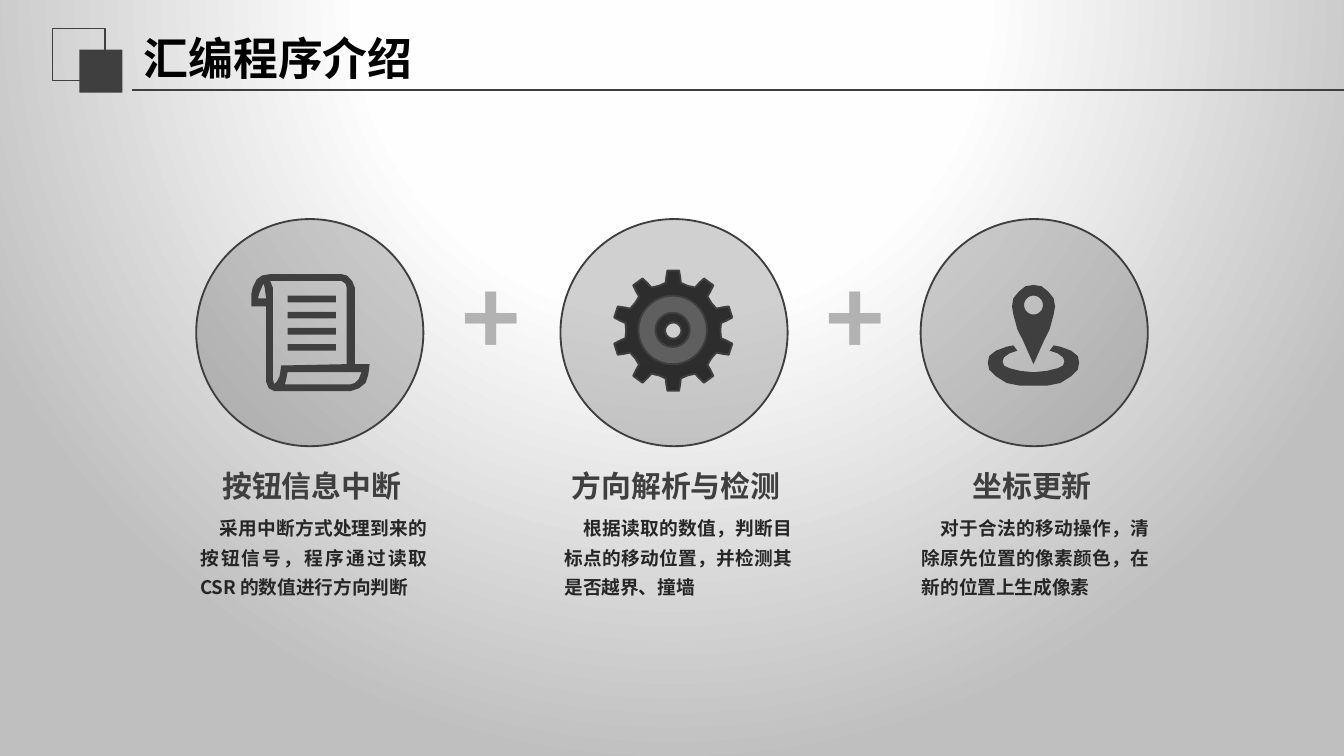
"""Build the slide that introduces the assembly program in three steps."""
from math import cos, pi, sin

from lxml.etree import SubElement as Sub
from pptx import Presentation
from pptx.dml.color import RGBColor as RGB
from pptx.enum.shapes import MSO_CONNECTOR as Link, MSO_SHAPE as Kind
from pptx.enum.text import MSO_ANCHOR as Anchor, MSO_AUTO_SIZE as Auto, PP_ALIGN as Align
from pptx.oxml import parse_xml
from pptx.oxml.ns import nsdecls, qn
from pptx.util import Inches, Pt

theme = {
    "ink": "3F3F3F", "body": "262626", "plus": "B2B2B2", "title": "000000",
    "gear": "0D0D0D", "ring": "FFFFFF",
    "glow": [(0, "FFFFFF"), (40, "FEFEFE"), (100, "BFBFBF")],
    "size": {"title": 24, "head": 16, "body": 10, "plus": 54},
    "cjk": "Noto Sans CJK SC", "latin": "Calibri",
}
ink = theme["ink"]
looks = {
    "frame": (None, 100, 0.75), "solid": (ink, 100, 0), "disc": (ink, 24, 1),
    "gear": (theme["gear"], 83, 1), "ring": (theme["ring"], 24, 1),
}
slim = {"margin_left": 0, "margin_right": 0, "margin_top": Inches(0.05), "margin_bottom": 0}
wide = {"margin_left": Inches(0.1), "margin_right": Inches(0.1),
        "margin_top": Inches(0.05), "margin_bottom": Inches(0.05)}
grow = {"word_wrap": True, "auto_size": Auto.SHAPE_TO_FIT_TEXT}
fixed = {"word_wrap": True, "auto_size": Auto.NONE, "vertical_anchor": Anchor.MIDDLE}
styles = {
    "title": (wide | fixed, {"alignment": Align.LEFT}, theme["latin"], theme["title"]),
    "head": (slim | grow, {"alignment": Align.CENTER}, theme["cjk"], ink),
    "body": (slim | grow, {"alignment": Align.JUSTIFY, "line_spacing": 1.3}, theme["cjk"], theme["body"]),
    "plus": (wide | grow, {"alignment": Align.CENTER}, theme["cjk"], theme["plus"]),
}

deck = Presentation()
deck.slide_width, deck.slide_height = Inches(10), Inches(10 * 9 / 16)
slide = deck.slides.add_slide(deck.slide_layouts[5])
shapes = slide.shapes

stops = "".join(f'<a:gs pos="{at * 1000}"><a:srgbClr val="{tint}"/></a:gs>' for at, tint in theme["glow"])
slide.element.cSld.insert(0, parse_xml(
    f'<p:bg {nsdecls("p", "a")}><p:bgPr><a:gradFill rotWithShape="1"><a:gsLst>{stops}</a:gsLst>'
    '<a:path path="circle"><a:fillToRect l="50000" t="-80000" r="50000" b="180000"/></a:path>'
    '</a:gradFill><a:effectLst/></p:bgPr></p:bg>'))


def paint(shape, look):
    fill, alpha, width = looks[look]
    shape.shadow.inherit = False
    if fill:
        shape.fill.solid()
        shape.fill.fore_color.rgb = RGB.from_string(fill)
        if alpha < 100:
            tint = shape.element.spPr.find(qn("a:solidFill"))[0]
            Sub(tint, qn("a:alpha")).set("val", str(alpha * 1000))
    else:
        shape.fill.background()
    if width:
        shape.line.color.rgb = RGB.from_string(ink)
        shape.line.width = Pt(width)
    else:
        shape.line.fill.background()


def trace(loops, look):
    rings = [[(Inches(x), Inches(y)) for x, y in loop] for loop in loops]
    pen = shapes.build_freeform(*rings[0][0], scale=1.0)
    pen.add_line_segments(rings[0][1:])
    for ring in rings[1:]:
        pen.move_to(*ring[0])
        pen.add_line_segments(ring[1:])
    paint(pen.convert_to_shape(), look)


lefts = [1.46, 4.17, 6.85]
blocks = [(Kind.RECTANGLE, 0.39, 0.21, 0.39, 0.39, "frame"),
          (Kind.RECTANGLE, 0.59, 0.37, 0.32, 0.32, "solid")]
blocks += [(Kind.OVAL, x, 1.63, 1.69, 1.69, "disc") for x in lefts]
blocks += [(Kind.RECTANGLE, 2.14, 2.2 + 0.12 * row, 0.36, 0.05, "solid") for row in range(4)]
for kind, x, y, w, h, look in blocks:
    paint(shapes.add_shape(kind, Inches(x), Inches(y), Inches(w), Inches(h)), look)

rule = shapes.add_connector(Link.STRAIGHT, Inches(0.98), Inches(0.67), Inches(10), Inches(0.67))
rule.line.color.rgb = RGB.from_string(ink)
rule.line.width = Pt(1.25)
Sub(rule.element.spPr, qn("a:effectLst"))

edge = [(2.64, 2.71), (2.64, 2.14), (2.62, 2.09), (2.58, 2.05), (2.54, 2.04), (2.01, 2.04),
        (1.95, 2.05), (1.91, 2.08), (1.88, 2.14), (1.87, 2.19), (1.87, 2.28), (1.98, 2.28),
        (1.98, 2.84), (2, 2.89), (2.04, 2.91), (2.61, 2.91), (2.67, 2.89), (2.72, 2.85),
        (2.74, 2.79), (2.75, 2.71)]
curl = [(1.92, 2.22), (1.93, 2.18), (1.96, 2.11), (1.97, 2.14), (1.98, 2.22)]
sheet = [(2.09, 2.74), (2.08, 2.8), (2.06, 2.84), (2.04, 2.86), (2.03, 2.82), (2.03, 2.14),
         (2.01, 2.09), (2.54, 2.09), (2.57, 2.11), (2.58, 2.14), (2.58, 2.71), (2.09, 2.72)]
foot = [(2.61, 2.86), (2.12, 2.86), (2.13, 2.82), (2.14, 2.77), (2.69, 2.77), (2.67, 2.82), (2.64, 2.85)]
trace([edge, curl, sheet, foot], "solid")

circle = [(cos(n * pi / 18), sin(n * pi / 18)) for n in range(36)]
tooth = [(-9, 0.36), (-7.5, 0.4), (-5.5, 0.45), (5.5, 0.45), (7.5, 0.4), (9, 0.36), (18, 0.35)]
polar = [((36 * n + turn) * pi / 180, r) for n in range(10) for turn, r in tooth]
teeth = [(5.01 + r * sin(a), 2.46 - r * cos(a)) for a, r in polar]
trace([teeth, [(5.01 + 0.06 * x, 2.46 + 0.06 * y) for x, y in circle]], "gear")
hub = shapes.add_shape(Kind.DONUT, Inches(4.75), Inches(2.2), Inches(0.51), Inches(0.51))
hub.adjustments[0] = 0.25
paint(hub, "ring")

drop = [(0, 2.12), (0.06, 2.13), (0.11, 2.17), (0.15, 2.22), (0.16, 2.28), (0.15, 2.34),
        (0.12, 2.45), (0.08, 2.53), (0, 2.71)]
base = [(0, 2.77), (0.1, 2.76), (0.18, 2.74), (0.22, 2.72), (0.23, 2.69), (0.22, 2.66),
        (0.18, 2.63), (0.12, 2.61), (0.15, 2.57), (0.2, 2.58), (0.28, 2.61), (0.33, 2.65),
        (0.34, 2.7), (0.33, 2.75), (0.28, 2.8), (0.2, 2.85), (0.1, 2.87), (0, 2.87)]
eye = [(7.69 + 0.07 * x, 2.27 + 0.07 * y) for x, y in circle]
for half, holes in [(base, []), (drop, [eye])]:
    whole = half + [(-x, y) for x, y in reversed(half)]
    trace([[(7.69 + x, y) for x, y in whole]] + holes, "solid")

steps = [
    ("按钮信息中断", "采用中断方式处理到来的按钮信号，程序通过读取 CSR 的数值进行方向判断"),
    ("方向解析与检测", "根据读取的数值，判断目标点的移动位置，并检测其是否越界、撞墙"),
    ("坐标更新", "对于合法的移动操作，清除原先位置的像素颜色，在新的位置上生成像素"),
]
texts = [("title", 0.97, 0.21, 3.56, 0.43, "汇编程序介绍")]
for head_x, body_x, (head, body) in zip([1.33, 4.04, 6.69], [1.49, 4.2, 6.86], steps):
    texts += [("head", head_x, 3.43, 1.98, 0.32, head), ("body", body_x, 3.75, 1.69, 0.71, body)]
texts += [("plus", x + 1.74, 1.85, 0.91, 1.01, "+") for x in lefts[:2]]

for style, x, y, w, h, words in texts:
    place = [Inches(side) for side in (x, y, w, h)]
    box = shapes.title if style == "title" else shapes.add_textbox(*place)
    box.left, box.top, box.width, box.height = place
    frame, para, face, tint = styles[style]
    line = box.text_frame.paragraphs[0]
    run = line.add_run()
    run.text = words
    font = {"name": face, "size": Pt(theme["size"][style]), "bold": True}
    for item, values in [(box.text_frame, frame), (line, para), (run.font, font)]:
        for key, value in values.items():
            setattr(item, key, value)
    run.font.color.rgb = RGB.from_string(tint)
    east = run.font._element.makeelement(qn("a:ea"), {"typeface": theme["cjk"]})
    run.font._element.find(qn("a:latin")).addnext(east)
    if style == "body":
        line._p.get_or_add_pPr().set("indent", str(Inches(0.14)))

deck.save("out.pptx")
